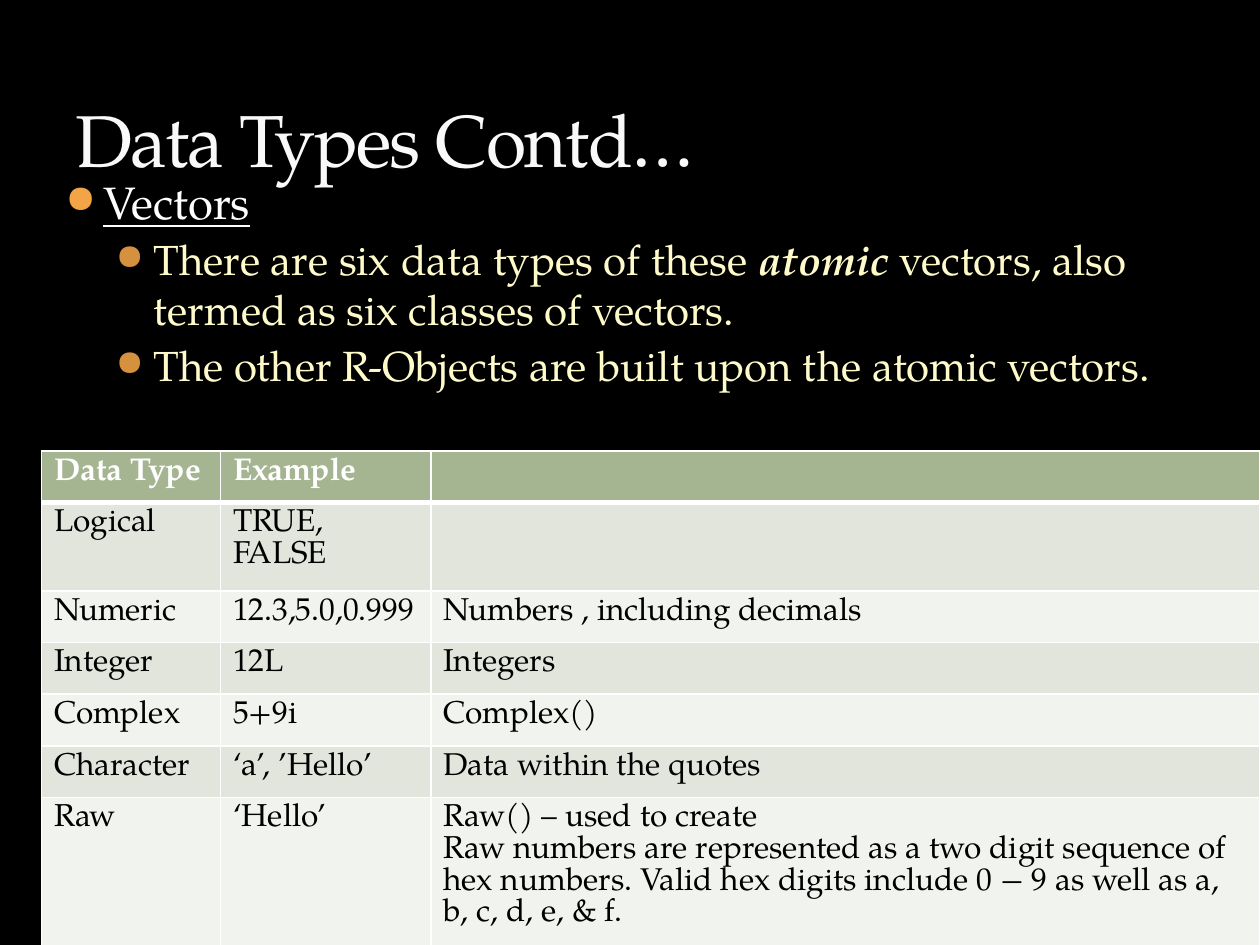
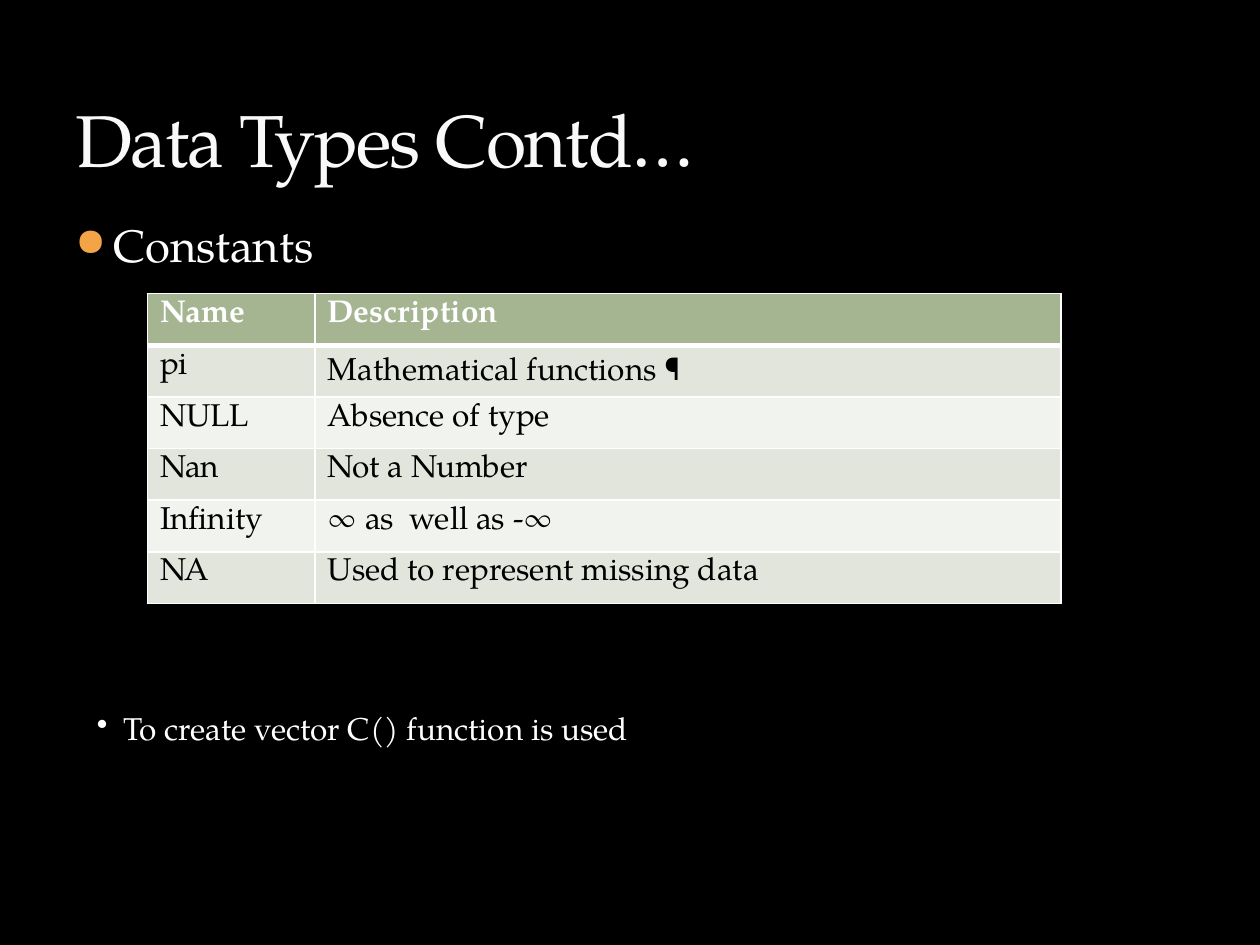
from lxml.etree import SubElement
from pptx import Presentation
from pptx.dml.color import RGBColor
from pptx.enum.text import MSO_ANCHOR, MSO_AUTO_SIZE, PP_ALIGN
from pptx.oxml.ns import qn
from pptx.util import Inches, Pt

FONT = "TeX Gyre Pagella"
BLACK = RGBColor(0x00, 0x00, 0x00)
WHITE = RGBColor(0xFF, 0xFF, 0xFF)
TITLE_WHITE = RGBColor(0xF9, 0xF9, 0xF9)
CREAM = RGBColor(0xFE, 0xFA, 0xC9)
ORANGE = RGBColor(0xF3, 0xA4, 0x47)
DARK_ORANGE = RGBColor(0xD6, 0x91, 0x3F)
HEADER_GREEN = RGBColor(0xA5, 0xB5, 0x92)
BAND_FILLS = (RGBColor(0xE1, 0xE5, 0xDC), RGBColor(0xF0, 0xF3, 0xEE))

# Text is a string, or a list of (text, font settings) spans.
TITLE = "Data Types Contd…"
VECTOR_POINTS = [
    ("main", [("Vectors", {"underline": True})]),
    ("sub", [("There are six data types of these ", {}),
             ("atomic", {"bold": True, "italic": True}),
             (" vectors, also termed as six classes of vectors.", {})]),
    ("sub", "The other R-Objects are built upon the atomic vectors."),
]
VECTOR_TYPES = [
    ("Data Type", "Example", ""),
    ("Logical", "TRUE, FALSE", ""),
    ("Numeric", "12.3,5.0,0.999", "Numbers , including decimals"),
    ("Integer", "12L", "Integers"),
    ("Complex", "5+9i", "Complex()"),
    ("Character", "‘a’, ’Hello’", "Data within the quotes"),
    ("Raw", "‘Hello’",
     "Raw() – used to create\n"
     "Raw numbers are represented as a two digit sequence of hex numbers. "
     "Valid hex digits include 0 − 9 as well as a, b, c, d, e, & f."),
]
CONSTANT_POINTS = [("main", "Constants")]
CONSTANTS = [
    ("Name", "Description"),
    ("pi", [("Mathematical functions ", {}), ("¶", {"name": "Roboto"})]),
    ("NULL", "Absence of type"),
    ("Nan", "Not a Number"),
    ("Infinity", "∞ as  well as -∞"),
    ("NA", "Used to represent missing data"),
]
CLOSING_POINTS = [("note", "To create vector C() function is used")]

POINT_STYLES = {
    "main": dict(size=26, color=WHITE, before=6, left=0.3, hanging=0.3,
                 bullet="●", bullet_color=ORANGE, bullet_percent=85),
    "sub": dict(size=24, color=CREAM, before=3, left=0.7, hanging=0.3,
                bullet="●", bullet_color=DARK_ORANGE, bullet_percent=85),
    "note": dict(size=18, color=WHITE, before=0, left=0.21, hanging=0.21,
                 bullet="•", bullet_color=WHITE, bullet_percent=100),
}
ROW_HEIGHT = 0.41
TABLE_TEXT_SIZE = 18


def write_spans(paragraph, content, size, color, bold=False):
    spans = [(content, {})] if isinstance(content, str) else content
    for text, settings in spans:
        span = paragraph.add_run()
        span.text = text
        span.font.size = Pt(size)
        span.font.color.rgb = color
        for name, value in {"name": FONT, "bold": bold, **settings}.items():
            setattr(span.font, name, value)


def add_bullet(paragraph, style):
    properties = paragraph._p.get_or_add_pPr()
    properties.set("marL", str(Inches(style["left"])))
    properties.set("indent", str(-Inches(style["hanging"])))
    color = SubElement(properties, qn("a:buClr"))
    SubElement(color, qn("a:srgbClr"), val=str(style["bullet_color"]))
    SubElement(properties, qn("a:buSzPct"), val=str(style["bullet_percent"] * 1000))
    SubElement(properties, qn("a:buChar"), char=style["bullet"])
    paragraph.space_before = Pt(style["before"])


def add_points(page, points, left, top, width, height):
    frame = page.shapes.add_textbox(*map(Inches, (left, top, width, height))).text_frame
    frame.word_wrap = True
    for index, (kind, content) in enumerate(points):
        paragraph = frame.paragraphs[0] if index == 0 else frame.add_paragraph()
        style = POINT_STYLES[kind]
        write_spans(paragraph, content, style["size"], style["color"])
        add_bullet(paragraph, style)


def add_borders(cell, bottom_width):
    properties = cell._tc.get_or_add_tcPr()
    for side, width in (("L", 1), ("R", 1), ("T", 1), ("B", bottom_width)):
        line = SubElement(properties, qn(f"a:ln{side}"), w=str(Pt(width)))
        fill = SubElement(line, qn("a:solidFill"))
        SubElement(fill, qn("a:srgbClr"), val=str(WHITE))


def fill_cell(cell, content, is_header, fill):
    add_borders(cell, 3 if is_header else 1)
    cell.fill.solid()
    cell.fill.fore_color.rgb = fill
    lines = content.split("\n") if isinstance(content, str) else [content]
    for index, line in enumerate(lines):
        paragraph = (cell.text_frame.paragraphs[0] if index == 0
                     else cell.text_frame.add_paragraph())
        if line:
            write_spans(paragraph, line, TABLE_TEXT_SIZE,
                        WHITE if is_header else BLACK, bold=is_header)


def add_data_table(page, rows, left, top, column_widths):
    table = page.shapes.add_table(
        len(rows), len(column_widths), Inches(left), Inches(top),
        Inches(sum(column_widths)), Inches(ROW_HEIGHT * len(rows))).table
    for column, width in zip(table.columns, column_widths):
        column.width = Inches(width)
    for row_index, row in enumerate(rows):
        table.rows[row_index].height = Inches(ROW_HEIGHT)
        fill = BAND_FILLS[(row_index - 1) % 2] if row_index else HEADER_GREEN
        for column_index, content in enumerate(row):
            fill_cell(table.cell(row_index, column_index), content,
                      row_index == 0, fill)


def add_page(deck):
    page = deck.slides.add_slide(deck.slide_layouts[5])
    title = page.shapes.title
    title.left, title.top = Inches(0.5), Inches(0.17)
    title.width, title.height = Inches(9), Inches(1.33)
    frame = title.text_frame
    frame.auto_size = MSO_AUTO_SIZE.NONE
    frame.vertical_anchor = MSO_ANCHOR.BOTTOM
    paragraph = frame.paragraphs[0]
    paragraph.alignment = PP_ALIGN.LEFT
    write_spans(paragraph, TITLE, 42, TITLE_WHITE)
    paragraph.runs[0].font._element.set("spc", "-100")
    return page


def main():
    deck = Presentation()
    deck.slide_width, deck.slide_height = Inches(10), Inches(7.5)
    background = deck.slide_master.background.fill
    background.solid()
    background.fore_color.rgb = BLACK

    vectors_page = add_page(deck)
    add_points(vectors_page, VECTOR_POINTS, 0.42, 1.33, 9, 5)
    add_data_table(vectors_page, VECTOR_TYPES, 0.33, 3.58, (1.42, 1.67, 6.58))

    constants_page = add_page(deck)
    add_points(constants_page, CONSTANT_POINTS, 0.5, 1.67, 9, 5)
    add_data_table(constants_page, CONSTANTS, 1.17, 2.33, (1.33, 5.92))
    add_points(constants_page, CLOSING_POINTS, 0.67, 5.58, 9.08, 0.4)

    deck.save("out.pptx")


if __name__ == "__main__":
    main()
